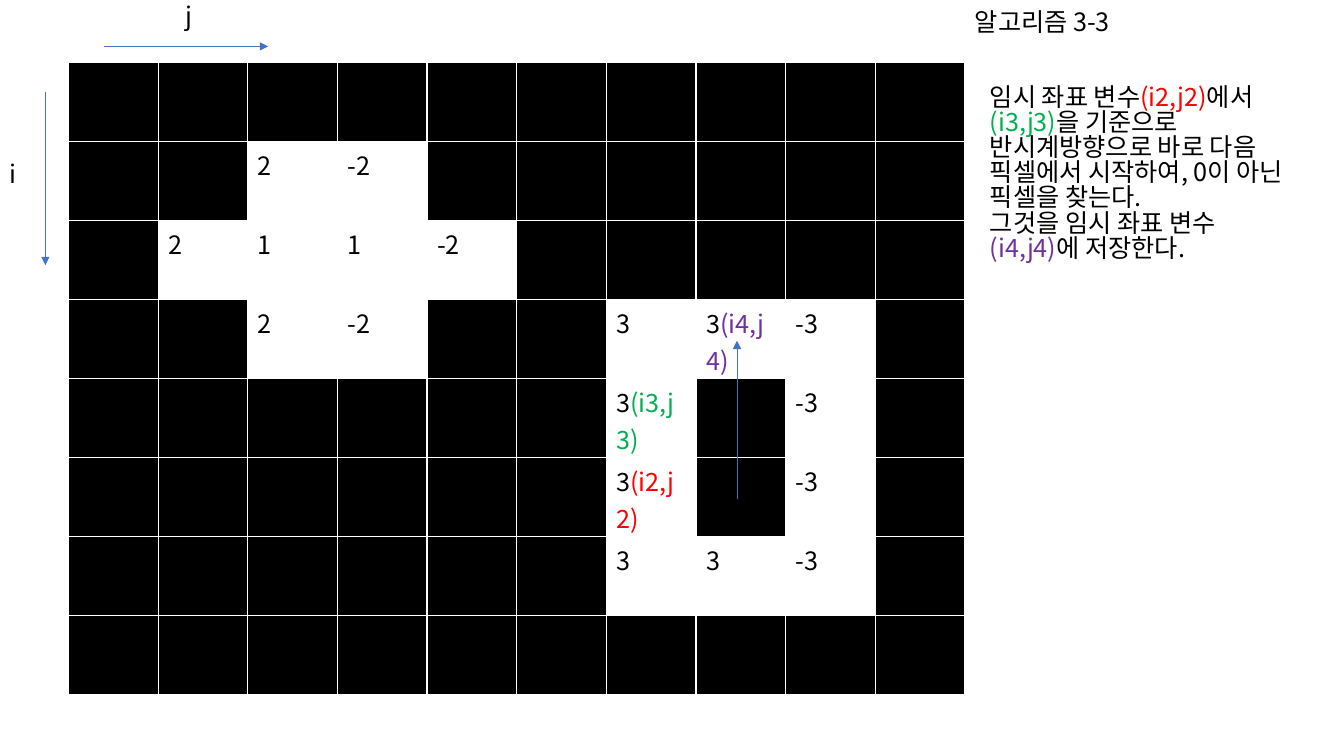
import pptx
import pptx.dml.color
import pptx.enum.shapes
import pptx.enum.text
import pptx.oxml
import pptx.oxml.ns
import pptx.util
import lxml.etree

FONT = "Noto Sans CJK KR"
COLOURS = {
    "text": "000000",
    "empty": "000000",
    "filled": "FFFFFF",
    "border": "FFFFFF",
    "arrow": "4472C4",
    "(i2,j2)": "FF0000",
    "(i3,j3)": "00B050",
    "(i4,j4)": "7030A0",
}
inches = pptx.util.Inches
qn = pptx.oxml.ns.qn


def rgb(name):
    return pptx.dml.color.RGBColor.from_string(COLOURS[name])


def write_runs(paragraph, text):
    """Split text at | into runs; coordinate names take their own colour."""
    for part in text.split("|"):
        run = paragraph.add_run()
        run.text = part
        run.font.size = pptx.util.Pt(18)
        run.font.name = FONT
        run.font.color.rgb = rgb(part if part in COLOURS else "text")
        east_asian = lxml.etree.SubElement(run.font._element, qn("a:ea"))
        east_asian.set("typeface", FONT)


presentation = pptx.Presentation()
presentation.slide_width = inches(13.33)
presentation.slide_height = inches(7.5)
slide = presentation.slides.add_slide(presentation.slide_layouts[6])

# Pixel grid: a dot is a black pixel
pixel_rows = [
    ". . . . . . . . . .",
    ". . 2 -2 . . . . . .",
    ". 2 1 1 -2 . . . . .",
    ". . 2 -2 . . 3 3|(i4,j4) -3 .",
    ". . . . . . 3|(i3,j3) . -3 .",
    ". . . . . . 3|(i2,j2) . -3 .",
    ". . . . . . 3 3 -3 .",
    ". . . . . . . . . .",
]
pixels = [row.split() for row in pixel_rows]
grid_left, grid_top, grid_width, grid_height = 0.68, 0.62, 8.89, 6.27
table = slide.shapes.add_table(
    len(pixels), len(pixels[0]),
    inches(grid_left), inches(grid_top), inches(grid_width), inches(grid_height),
).table
table.first_row = False
table.horz_banding = False
for column in table.columns:
    column.width = inches(grid_width / len(pixels[0]))
for row in table.rows:
    row.height = inches(grid_height / len(pixels))

for row_index, row in enumerate(pixels):
    for column_index, value in enumerate(row):
        cell = table.cell(row_index, column_index)
        cell.margin_bottom = 0
        properties = cell._tc.get_or_add_tcPr()
        for side in ("a:lnL", "a:lnR", "a:lnT", "a:lnB"):
            border = lxml.etree.SubElement(properties, qn(side), w="12700")
            fill = lxml.etree.SubElement(border, qn("a:solidFill"))
            lxml.etree.SubElement(fill, qn("a:srgbClr"), val=COLOURS["border"])
        cell.fill.solid()
        cell.fill.fore_color.rgb = rgb("empty" if value == "." else "filled")
        if value != ".":
            write_runs(cell.text_frame.paragraphs[0], value)

# Title, explanation and axis names: left, top, width, height, wrap, lines
explanation = [
    "임시 좌표 변수|(i2,j2)|에서",
    "(i3,j3)|을 기준으로",
    "반시계방향으로 바로 다음",
    "픽셀에서 시작하여, 0이 아닌",
    "픽셀을 찾는다.",
    "그것을 임시 좌표 변수",
    "(i4,j4)|에 저장한다.",
]
text_boxes = [
    (9.57, 0.06, 1.68, 0.4, False, ["알고리즘 3-3"]),
    (9.72, 0.81, 3.44, 2.22, True, explanation),
    (0, 1.57, 0.32, 0.4, True, ["i"]),
    (1.74, 0, 0.38, 0.4, True, ["j"]),
]
for left, top, width, height, wrap, lines in text_boxes:
    box = slide.shapes.add_textbox(
        inches(left), inches(top), inches(width), inches(height))
    frame = box.text_frame
    frame.word_wrap = wrap
    frame.auto_size = pptx.enum.text.MSO_AUTO_SIZE.SHAPE_TO_FIT_TEXT
    for index, line in enumerate(lines):
        paragraph = frame.add_paragraph() if index else frame.paragraphs[0]
        paragraph.line_spacing = 0.83
        write_runs(paragraph, line)

# Axis arrows and the arrow to the next pixel
arrows = [
    (1.03, 0.46, 2.66, 0.46),
    (0.45, 0.91, 0.45, 2.63),
    (7.31, 4.95, 7.31, 3.38),
]
for ends in arrows:
    arrow = slide.shapes.add_connector(
        pptx.enum.shapes.MSO_CONNECTOR.STRAIGHT, *map(inches, ends))
    arrow.line.color.rgb = rgb("arrow")
    arrow.line.width = pptx.util.Pt(0.5)
    lxml.etree.SubElement(arrow.line._get_or_add_ln(), qn("a:tailEnd"), type="triangle")
    lxml.etree.SubElement(arrow._element.spPr, qn("a:effectLst"))

presentation.save("out.pptx")
